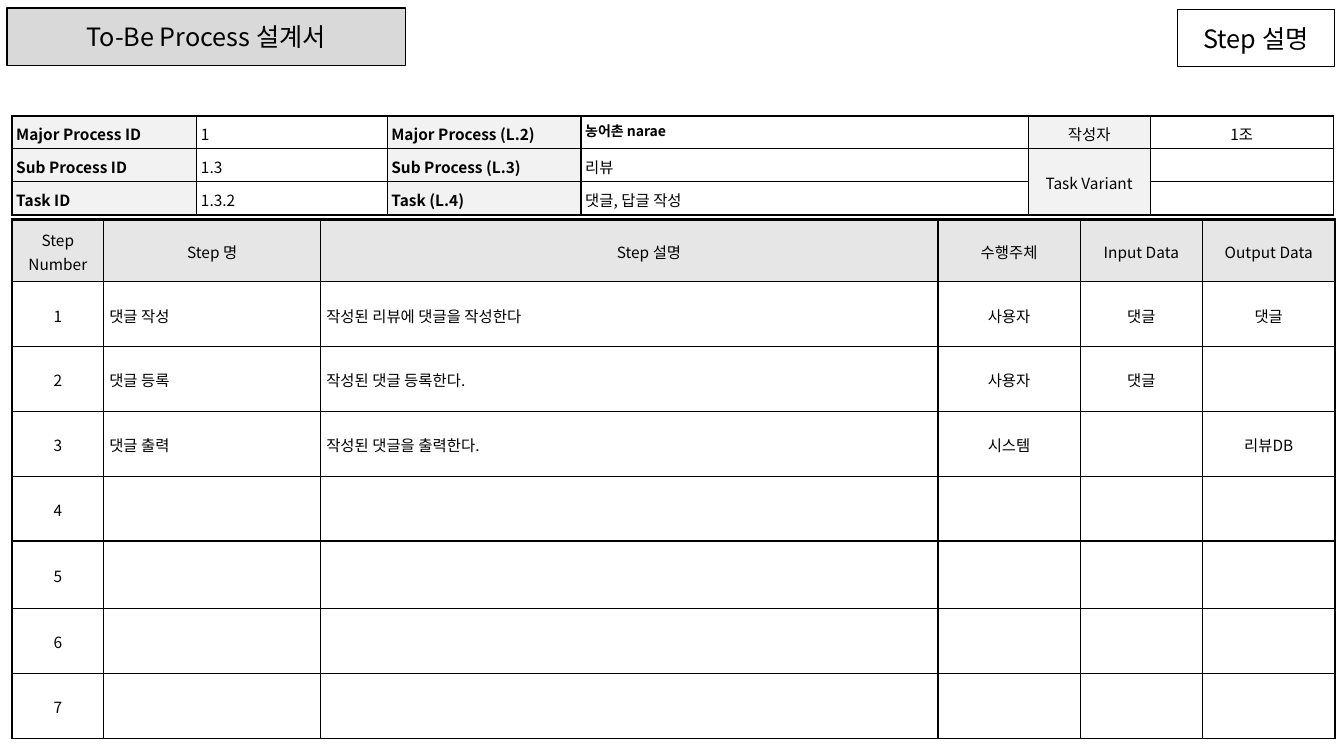
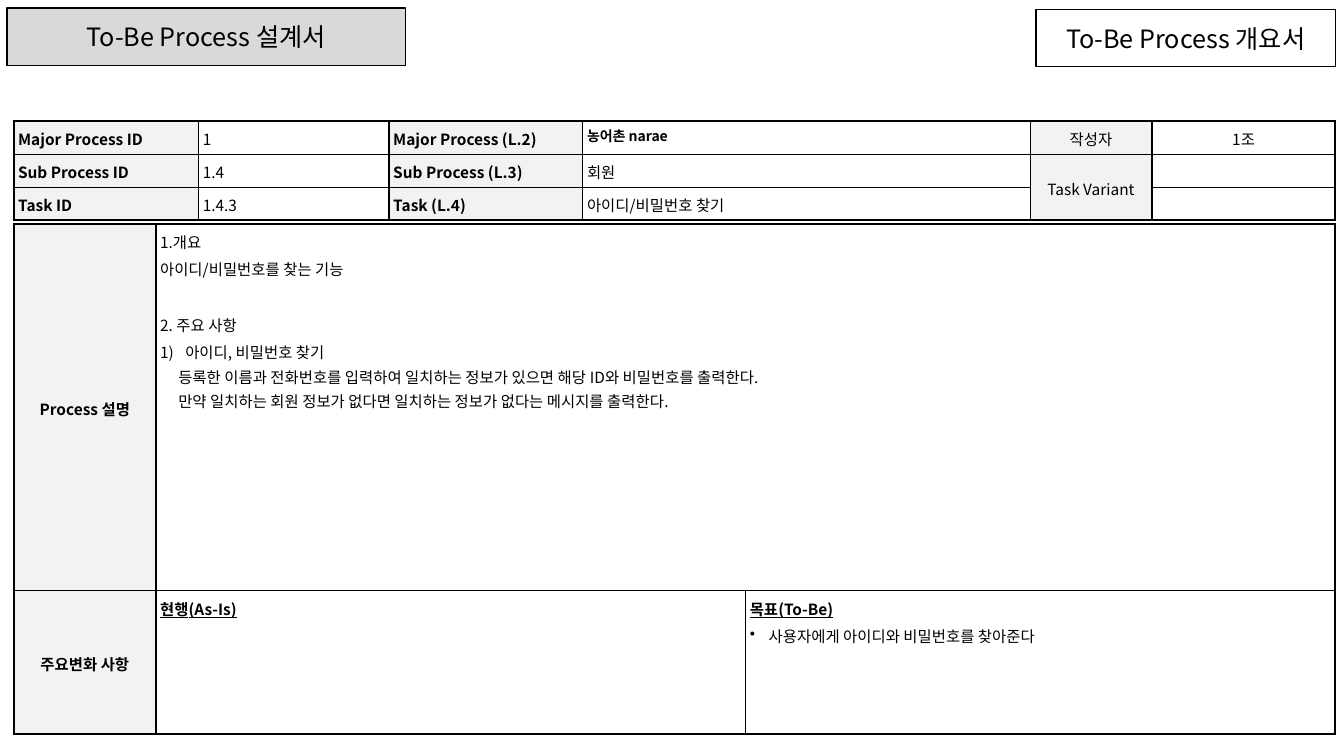
from lxml.etree import SubElement
from pptx import Presentation
from pptx.dml.color import RGBColor
from pptx.enum.shapes import MSO_SHAPE as Shape
from pptx.enum.text import MSO_ANCHOR as Anchor, MSO_AUTO_SIZE as AutoSize, PP_ALIGN as Align
from pptx.oxml.ns import qn
from pptx.util import Pt

BLACK = RGBColor(0, 0, 0)
WHITE = RGBColor(255, 255, 255)
BAND_GRAY = RGBColor(0xD9, 0xD9, 0xD9)
HEAD_GRAY = RGBColor(0xE6, 0xE6, 0xE6)
LABEL_GRAY = RGBColor(0xF2, 0xF2, 0xF2)
FONT = "Noto Sans CJK KR"


def write(frame, text, *, size=11, bold=False, underline=False, align=Align.LEFT,
          spacing=1.1, before=0, left=0, hanging=0, bullet=None, tab=None):
    para = frame.add_paragraph() if frame.text else frame.paragraphs[0]
    para.alignment = align
    para.line_spacing = spacing
    para.space_before = Pt(before)
    props = para._p.get_or_add_pPr()
    props.set("marL", str(Pt(left)))
    props.set("indent", str(Pt(-hanging)))
    if bullet:
        SubElement(props, qn("a:buChar"), char=bullet)
    else:
        SubElement(props, qn("a:buNone"))
    if tab:
        stops = SubElement(props, qn("a:tabLst"))
        SubElement(stops, qn("a:tab"), pos=str(Pt(tab)), algn="l")
    if not text:
        SubElement(para._p, qn("a:endParaRPr"), sz=str(size * 100))
        return
    span = para.add_run()
    span.text = text
    span.font.size = Pt(size)
    span.font.bold = bold
    span.font.underline = underline
    span.font.color.rgb = BLACK
    span.font.name = FONT
    SubElement(span._r.get_or_add_rPr(), qn("a:ea"), typeface=FONT)


def add_grid(page, x, y, widths, heights, *, outer, bottom, side=3, merge=None):
    frame = page.shapes.add_table(len(heights), len(widths), Pt(x), Pt(y),
                                  Pt(sum(widths)), Pt(sum(heights)))
    grid = frame.table
    grid.first_row = grid.horz_banding = False
    for column, width in zip(grid.columns, widths):
        column.width = Pt(width)
    for row, height in zip(grid.rows, heights):
        row.height = Pt(height)
    if merge:
        grid.cell(*merge[0]).merge(grid.cell(*merge[1]))
    for r in range(len(heights)):
        for c in range(len(widths)):
            cell = grid.cell(r, c)
            cell.margin_left = cell.margin_right = Pt(side)
            cell.margin_top = cell.margin_bottom = Pt(3)
            edges = {
                "L": outer if c == 0 else 1,
                "R": outer if c + cell.span_width == len(widths) else 1,
                "T": outer if r == 0 else 1,
                "B": bottom if r + cell.span_height == len(heights) else 1,
            }
            for edge, weight in edges.items():
                line = SubElement(cell._tc.get_or_add_tcPr(), qn("a:ln" + edge), w=str(Pt(weight)))
                paint = SubElement(line, qn("a:solidFill"))
                SubElement(paint, qn("a:srgbClr"), val=str(BLACK))
            cell.fill.background()
    return grid


deck = Presentation()
deck.slide_width = Pt(960)
deck.slide_height = Pt(540)

HEADER_WIDTHS = [132, 136, 138.5, 319.5, 87, 131]
LABELS = [
    ("Major Process ID", "Major Process (L.2)"),
    ("Sub Process ID", "Sub Process (L.3)"),
    ("Task ID", "Task (L.4)"),
]
PROJECT = "농어촌 narae"
PAGES = [
    ("Step 설명", 841, 112.3, 8.6, 82.8, ["1", "1.3", "1.3.2"], [PROJECT, "리뷰", "댓글, 답글 작성"]),
    ("To-Be Process 개요서", 740, 213.8, 9.9, 86.6, ["1", "1.4", "1.4.3"],
     [PROJECT, "회원", "아이디/비밀번호 찾기"]),
]

pages = []
for title, title_x, title_width, header_x, header_y, codes, names in PAGES:
    page = deck.slides.add_slide(deck.slide_layouts[5])
    pages.append(page)
    page.background.fill.solid()
    page.background.fill.fore_color.rgb = WHITE

    band = page.shapes.add_shape(Shape.RECTANGLE, Pt(5), Pt(5.8), Pt(284.6), Pt(41))
    band.shadow.inherit = False
    band.fill.solid()
    band.fill.fore_color.rgb = BAND_GRAY
    box = page.shapes.title
    box.left, box.top, box.width, box.height = Pt(title_x), Pt(6.6), Pt(title_width), Pt(41)
    for shape, text in ((band, "To-Be Process 설계서"), (box, title)):
        shape.line.color.rgb = BLACK
        shape.line.width = Pt(1)
        shape.text_frame.word_wrap = True
        shape.text_frame.auto_size = AutoSize.NONE
        shape.text_frame.vertical_anchor = Anchor.MIDDLE
        write(shape.text_frame, text, size=18, align=Align.CENTER, spacing=1.0)

    header = add_grid(page, header_x, header_y, HEADER_WIDTHS, [22.5] * 3,
                      outer=1.5, bottom=1.5, merge=((1, 4), (2, 4)))
    for r, (id_label, name_label) in enumerate(LABELS):
        for c, text in enumerate((id_label, codes[r], name_label, names[r])):
            cell = header.cell(r, c)
            is_project = text == PROJECT
            is_label = c in (0, 2)
            write(cell.text_frame, text, bold=is_label or is_project,
                  size=10 if is_project else 11, spacing=1.0 if is_project else 1.1)
            if is_label:
                cell.fill.solid()
                cell.fill.fore_color.rgb = LABEL_GRAY
    for r, c, text in ((0, 4, "작성자"), (0, 5, "1조"), (1, 4, "Task Variant"), (1, 5, ""), (2, 5, "")):
        cell = header.cell(r, c)
        cell.vertical_anchor = Anchor.MIDDLE
        write(cell.text_frame, text, align=Align.CENTER)
        if c == 4:
            cell.fill.solid()
            cell.fill.fore_color.rgb = LABEL_GRAY

step_page, overview_page = pages

STEPS = [
    ["Step Number", "Step 명", "Step 설명", "수행주체", "Input Data", "Output Data"],
    ["1", "댓글 작성", "작성된 리뷰에 댓글을 작성한다", "사용자", "댓글", "댓글"],
    ["2", "댓글 등록", "작성된 댓글 등록한다.", "사용자", "댓글", ""],
    ["3", "댓글 출력", "작성된 댓글을 출력한다.", "시스템", "", "리뷰DB"],
]
STEPS += [[str(number)] + [""] * 5 for number in range(4, 8)]
steps = add_grid(step_page, 8.6, 156.8, [65.5, 155, 441, 101.5, 87.5, 94.5],
                 [44.5] + [46.3] * 4 + [48.3] + [46.3] * 2, outer=2.25, bottom=1, side=4)
for r, texts in enumerate(STEPS):
    for c, text in enumerate(texts):
        cell = steps.cell(r, c)
        cell.vertical_anchor = Anchor.MIDDLE
        is_prose = r > 0 and c in (1, 2)
        write(cell.text_frame, text, align=Align.LEFT if is_prose else Align.CENTER,
              left=28 if (r, c) == (0, 2) else 0)
        if r == 0:
            cell.fill.solid()
            cell.fill.fore_color.rgb = HEAD_GRAY

overview = add_grid(overview_page, 9.9, 160, [101.5, 421.25, 421.25], [262, 102.2],
                    outer=1.5, bottom=1.5, merge=((0, 1), (0, 2)))
for r, label in enumerate(("Process 설명", "주요변화 사항")):
    cell = overview.cell(r, 0)
    cell.vertical_anchor = Anchor.MIDDLE
    cell.fill.solid()
    cell.fill.fore_color.rgb = LABEL_GRAY
    write(cell.text_frame, label, bold=True, align=Align.CENTER)

DESCRIPTION = [
    ("1.개요", {}),
    ("아이디/비밀번호를 찾는 기능", {"before": 2}),
    ("2. 주요 사항", {"before": 22}),
    ("1)\t아이디, 비밀번호 찾기", {"before": 2, "left": 18, "hanging": 18, "tab": 18}),
    ("등록한 이름과 전화번호를 입력하여 일치하는 정보가 있으면 해당 ID와 비밀번호를 출력한다.", {"left": 13}),
    ("만약 일치하는 회원 정보가 없다면 일치하는 정보가 없다는 메시지를 출력한다.", {"left": 13}),
]
for text, style in DESCRIPTION:
    write(overview.cell(0, 1).text_frame, text, **style)
for c, heading in ((1, "현행(As-Is)"), (2, "목표(To-Be)")):
    write(overview.cell(1, c).text_frame, heading, bold=True, underline=True)
write(overview.cell(1, 2).text_frame, "사용자에게 아이디와 비밀번호를 찾아준다",
      before=2.2, left=13.5, hanging=13.5, bullet="•")

deck.save("out.pptx")
